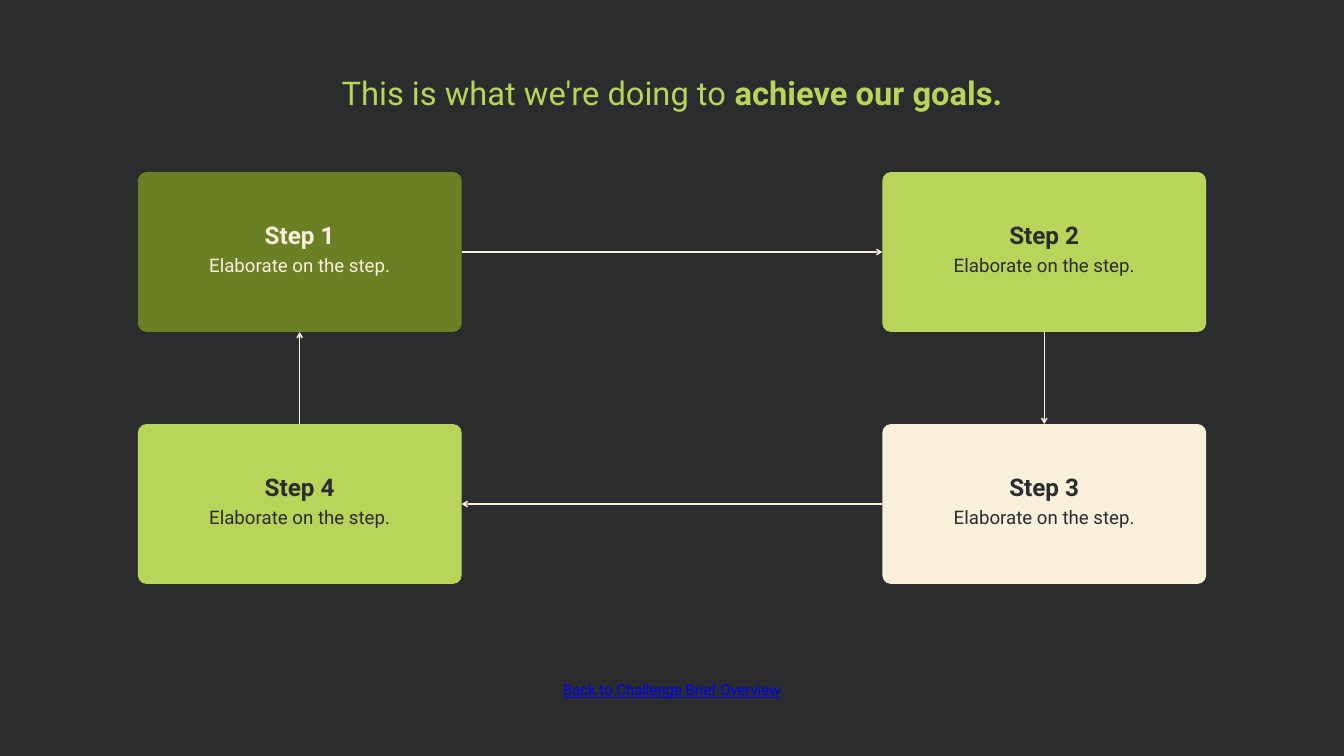
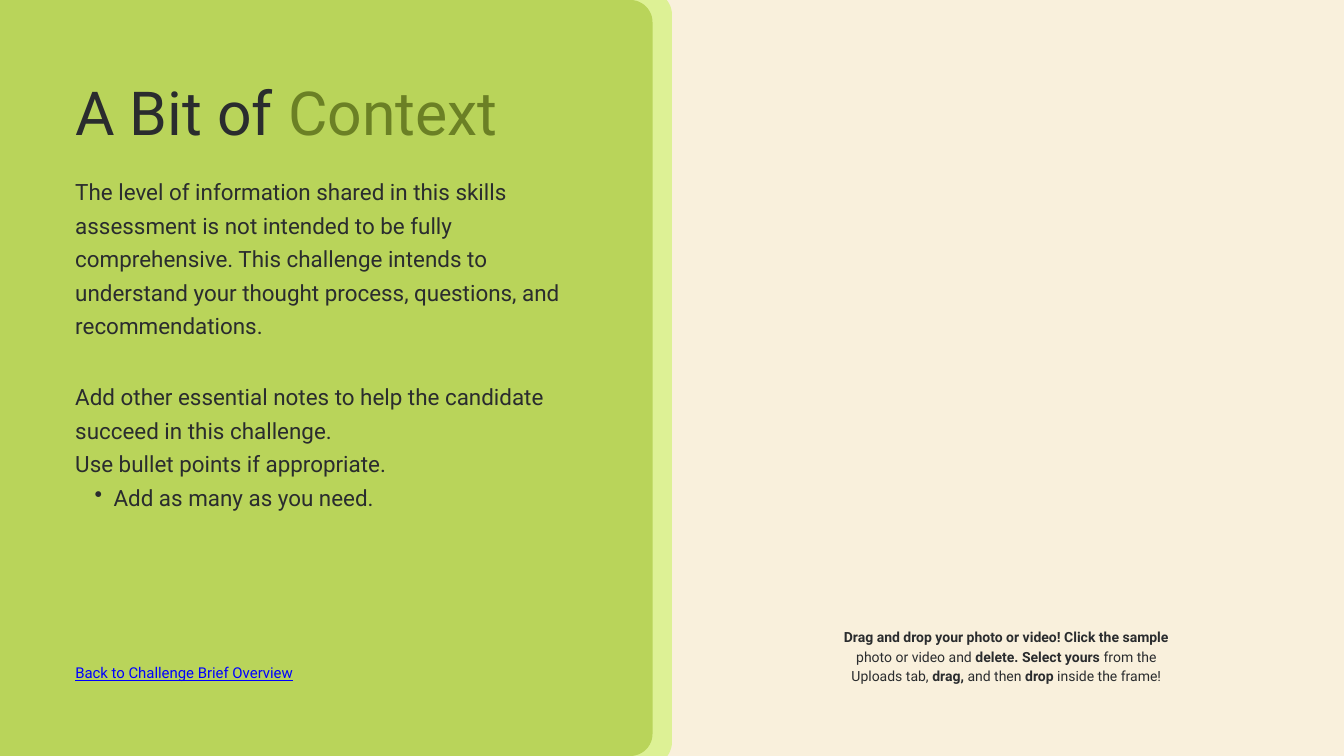
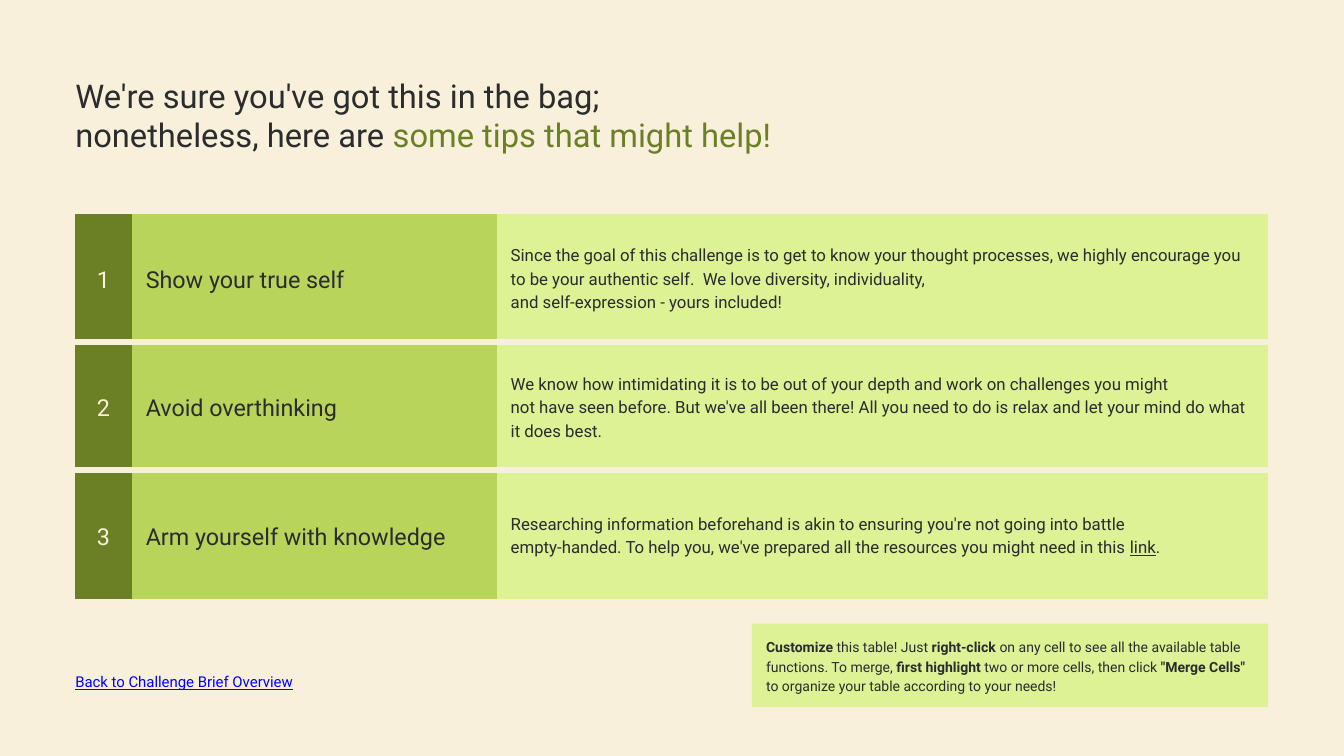
from lxml import etree
from pptx import Presentation
from pptx import util as u
from pptx.dml.color import RGBColor
from pptx.enum import shapes, text
from pptx.oxml import ns

W, H = 20, 11.25
EDGE = 1.12
PAD = 0.21
FONT = "Roboto"
HUES = {"ink": "2A2C2E", "cream": "F9F0DC", "moss": "6B8025",
        "leaf": "B9D45A", "pale": "DDF195", "link": "0000FF"}

# Text between asterisks takes the emphasis of its style.
STYLES = {
    "goal": dict(size=35, line=49, hue="leaf", align="CENTER", stress={"bold": True}),
    "tips": dict(size=35, line=42, stress={"hue": "moss"}),
    "head": dict(size=65, line=74.8, stress={"hue": "moss"}),
    "body": dict(size=24, line=36),
    "step": dict(size=26, line=36.4, bold=True, align="CENTER"),
    "more": dict(size=20, line=28, align="CENTER"),
    "back": dict(size=16, line=20.8, hue="link", underline=True),
    "hint": dict(size=15, line=21, stress={"bold": True}),
    "num": dict(size=25, line=35, hue="cream", align="CENTER"),
    "tip": dict(size=25, line=35),
    "why": dict(size=18, line=25.2, stress={"underline": True}),
}

BACK = "Back to Challenge Brief Overview"
GOAL = "This is what we're doing to *achieve our goals.*"
MORE = "Elaborate on the step."
# name, column, row, fill, text colour, sites where the arrow leaves and lands
STEPS = [
    ("Step 1", 0, 0, "moss", "cream", 3, 1),
    ("Step 2", 1, 0, "leaf", "ink", 2, 0),
    ("Step 3", 1, 1, "cream", "ink", 1, 3),
    ("Step 4", 0, 1, "leaf", "ink", 0, 2),
]

HEAD = "A Bit of *Context*"
INTRO = ("The level of information shared in this skills assessment is not intended "
         "to be fully comprehensive. This challenge intends to understand your thought "
         "process, questions, and recommendations.")
NOTES = ["Add other essential notes to help the candidate succeed in this challenge.",
         "Use bullet points if appropriate."]
POINT = "Add as many as you need."
DROP = ("*Drag and drop your photo or video! Click the sample *photo or video and"
        "* delete. Select yours *from the Uploads tab,* drag, *and then *drop*"
        " inside the frame!")

TIPS = ["We're sure you've got this in the bag;",
        "nonetheless, here are* some tips that might help!*"]
ROWS = [
    ("Show your true self",
     ["Since the goal of this challenge is to get to know your thought processes, we "
      "highly encourage you to be your authentic self.  We love diversity, individuality,",
      "and self-expression - yours included!"]),
    ("Avoid overthinking",
     ["We know how intimidating it is to be out of your depth and work on challenges "
      "you might",
      "not have seen before. But we've all been there! All you need to do is relax and "
      "let your mind do what it does best."]),
    ("Arm yourself with knowledge",
     ["Researching information beforehand is akin to ensuring you're not going into battle",
      "empty-handed. To help you, we've prepared all the resources you might need in "
      "this *link*."]),
]
COLS = [(0.84, "moss", "num"), (5.43, "leaf", "tip"), (11.48, "pale", "why")]
ROW_H = 1.91
CUSTOM = ("*Customize* this table! Just *right-click* on any cell to see all the available "
          "table functions. To merge,* first highlight* two or more cells, then click "
          "*\"Merge Cells\" *to organize your table according to your needs!")


def rgb(hue):
    return RGBColor.from_string(HUES[hue])


def box(at):
    return [u.Inches(n) for n in at]


def write(frame, lines, **extra):
    """Fill a frame with (style, line) pairs; extra overrides style values."""
    for i, (name, line) in enumerate(lines):
        par = frame.paragraphs[0] if i == 0 else frame.add_paragraph()
        form = {"hue": "ink", "align": "LEFT", **STYLES[name], **extra}
        par.alignment = getattr(text.PP_ALIGN, form["align"])
        par.line_spacing = u.Pt(form["line"])
        for j, part in enumerate(line.split("*")):
            if not part:
                continue
            look = {**form, **form.get("stress", {})} if j % 2 else form
            run = par.add_run()
            run.text = part
            font = run.font
            font.color.rgb = rgb(look["hue"])
            vals = {"name": FONT, "size": u.Pt(look["size"]),
                    "bold": look.get("bold", False),
                    "underline": look.get("underline", False)}
            for key, val in vals.items():
                setattr(font, key, val)


def inset(item, pad, low=None):
    for side in ("left", "top", "right", "bottom"):
        val = low if side == "bottom" and low is not None else pad
        setattr(item, "margin_" + side, u.Inches(val))
    item.vertical_anchor = text.MSO_ANCHOR.MIDDLE


def label(slide, at, lines, **extra):
    frame = slide.shapes.add_textbox(*box(at)).text_frame
    inset(frame, 0)
    frame.vertical_anchor = text.MSO_ANCHOR.TOP
    frame.word_wrap = True
    write(frame, lines, **extra)
    return frame


def panel(slide, at, hue, curve=0):
    """Add a plain filled rectangle with a corner radius in inches."""
    kind = shapes.MSO_SHAPE
    shape = slide.shapes.add_shape(
        kind.ROUNDED_RECTANGLE if curve else kind.RECTANGLE, *box(at))
    if curve:
        shape.adjustments[0] = curve / min(at[2:])
    shape.shadow.inherit = False
    shape.fill.solid()
    shape.fill.fore_color.rgb = rgb(hue)
    shape.line.fill.background()
    shape.text_frame.word_wrap = True
    return shape


def hint(slide, at, hue, line, **extra):
    frame = panel(slide, at, hue).text_frame
    inset(frame, PAD)
    write(frame, [("hint", line)], **extra)


def arrow(slide, start, out, end, into):
    link = slide.shapes.add_connector(shapes.MSO_CONNECTOR.STRAIGHT, 0, 0, 0, 0)
    link.begin_connect(start, out)
    link.end_connect(end, into)
    link.line.color.rgb = rgb("cream")
    link.line.width = u.Pt(1.5)
    tip = etree.SubElement(link.line._get_or_add_ln(), ns.qn("a:tailEnd"))
    tip.set("type", "arrow")
    etree.SubElement(link._element.spPr, ns.qn("a:effectLst"))


def bullet(par):
    par.level = 1
    props = par._p.get_or_add_pPr()
    props.set("marL", str(u.Inches(0.57)))
    props.set("indent", str(u.Inches(-0.28)))
    etree.SubElement(props, ns.qn("a:buChar")).set("char", "•")


def border(cell, rules):
    """Draw the named sides in cream and clear the others."""
    props = cell._tc.get_or_add_tcPr()
    for i, side in enumerate("LRTB"):
        line = etree.Element(ns.qn("a:ln" + side))
        if side in rules:
            line.set("w", str(u.Pt(7.5)))
            fill = etree.SubElement(line, ns.qn("a:solidFill"))
            etree.SubElement(fill, ns.qn("a:srgbClr")).set("val", HUES["cream"])
        else:
            line.set("w", "0")
            etree.SubElement(line, ns.qn("a:noFill"))
        props.insert(i, line)


def page(deck, hue):
    slide = deck.slides.add_slide(deck.slide_layouts[6])
    slide.background.fill.solid()
    slide.background.fill.fore_color.rgb = rgb(hue)
    return slide


def cycle(deck):
    slide = page(deck, "ink")
    label(slide, (2.64, 0.99, W - 2 * 2.64, 0.66), [("goal", GOAL)])
    left, top, wide, high, pitch = 2.05, 2.56, 4.82, 2.38, 3.75
    cards = []
    for name, col, row, fill, hue, *_ in STEPS:
        at = (left + col * (W - 2 * left - wide), top + row * pitch, wide, high)
        card = panel(slide, at, fill, 0.13)
        inset(card.text_frame, 0.06, 0.24)
        write(card.text_frame, [("step", name), ("more", MORE)], hue=hue)
        cards.append(card)
    for i, (*_, out, into) in enumerate(STEPS):
        arrow(slide, cards[i], out, cards[(i + 1) % len(cards)], into)
    label(slide, (8.24, 10.11, W - 2 * 8.24, 0.27), [("back", BACK)], align="CENTER")


def context(deck):
    slide = page(deck, "cream")
    panel(slide, (0, -0.13, W / 2, H + 0.27), "pale", 0.35)
    panel(slide, (-1.01, 0, 10.72, H), "leaf", 0.33)
    hint(slide, (12.18, 9.12, 5.59, 1.26), "cream", DROP, align="CENTER")
    wide = 7.4
    label(slide, (EDGE, 1.16, wide, 1.05), [("head", HEAD)])
    label(slide, (EDGE, 2.55, wide, 2.46), [("body", INTRO)])
    notes = label(slide, (EDGE, 5.6, wide, 1.96),
                  [("body", line) for line in NOTES + [POINT]])
    bullet(notes.paragraphs[-1])
    label(slide, (EDGE, 9.86, 5.55, 0.27), [("back", BACK)])


def advice(deck):
    slide = page(deck, "cream")
    wide = sum(col[0] for col in COLS)
    label(slide, (EDGE, 1.13, wide, 1.18), [("tips", line) for line in TIPS])
    at = (EDGE, 3.18, wide, ROW_H * len(ROWS))
    table = slide.shapes.add_table(len(ROWS), len(COLS), *box(at)).table
    table.first_row = table.horz_banding = False
    for c, (size, *_) in enumerate(COLS):
        table.columns[c].width = u.Inches(size)
    for r, (tip, why) in enumerate(ROWS):
        table.rows[r].height = u.Inches(ROW_H)
        rules = ("T" if r else "") + ("B" if r < len(ROWS) - 1 else "")
        for c, lines in enumerate(([str(r + 1)], [tip], why)):
            _, hue, style = COLS[c]
            cell = table.cell(r, c)
            cell.fill.solid()
            cell.fill.fore_color.rgb = rgb(hue)
            inset(cell, PAD)
            border(cell, rules)
            write(cell.text_frame, [(style, line) for line in lines])
    hint(slide, (11.19, 9.28, 7.68, 1.24), "pale", CUSTOM)
    label(slide, (EDGE, 9.99, 3.52, 0.27), [("back", BACK)])


def main():
    deck = Presentation()
    deck.slide_width, deck.slide_height = u.Inches(W), u.Inches(H)
    for build in (cycle, context, advice):
        build(deck)
    deck.save("out.pptx")


if __name__ == "__main__":
    main()
